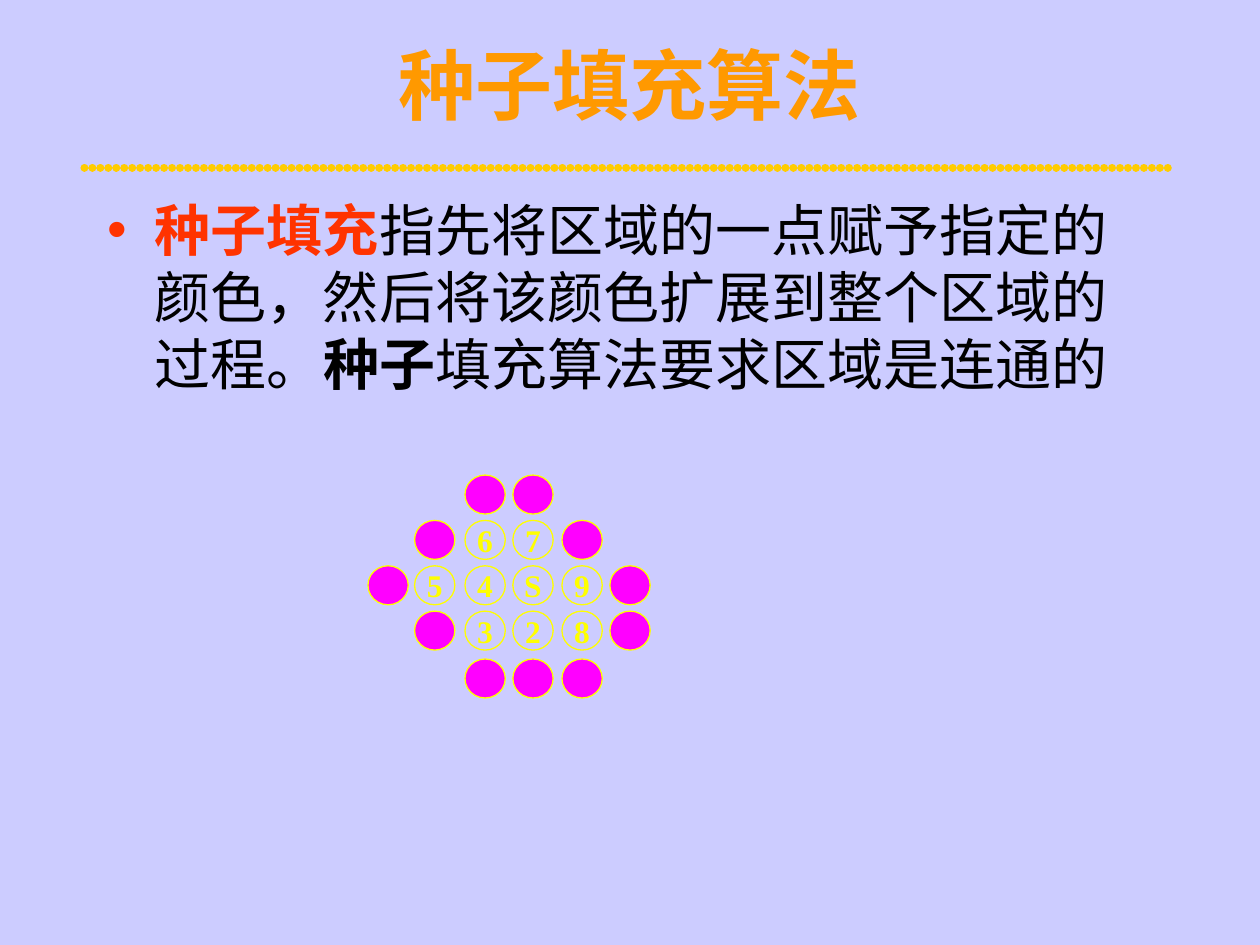
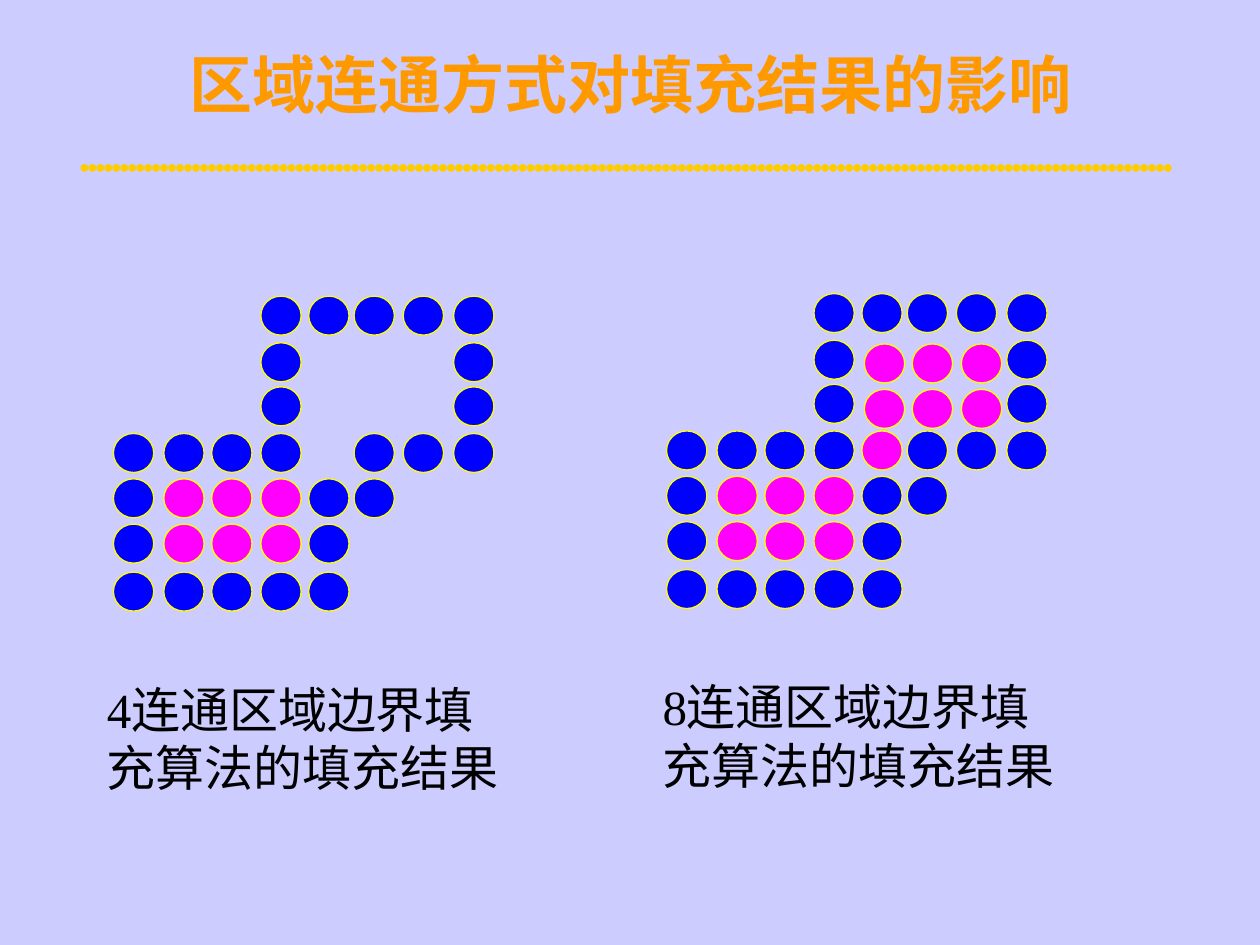
import pptx
import pptx.dml.color
import pptx.enum.shapes
import pptx.enum.text
import pptx.oxml
import pptx.oxml.ns
import pptx.util
from pptx.util import Inches

# Shared look
HUES = {"back": "CCCCFF", "title": "FF9900", "rule": "FFCC00", "key": "FF3300",
        "text": "000000", "edge": "FFFF00", "P": "FF00FF", "B": "0000FF"}
SERIF, SANS = "Times New Roman", "Noto Sans CJK SC"
DOT = (0.32, 0.31)

# Slide 1: seed filling. Each map letter is a filled dot, each other mark a label
SEED = {
    "title": ("种子填充算法", 44),
    "runs": [
        ("种子填充", "key", True),
        ("指先将区域的一点赋予指定的颜色，然后将该颜色扩展到整个区域的过程。", "text", False),
        ("种子", "text", True),
        ("填充算法要求区域是连通的", "text", False),
    ],
    "cols": [2.92, 3.29, 3.69, 4.07, 4.46, 4.84],
    "rows": [3.77, 4.13, 4.49, 4.85, 5.23],
    "map": ["..PP..", ".P67P.", "P54S9P", ".P328P", "..PPP."],
}

# Slide 2: the same border filled in two ways
LINK = {
    "title": ("区域连通方式对填充结果的影响", 36),
    "cols": [0.9, 1.3, 1.68, 2.07, 2.45, 2.81, 3.2, 3.6],
    "rows": [2.35, 2.72, 3.07, 3.44, 3.8, 4.16, 4.54],
    "top": ["...BBBBB", "...B...B", "...B...B"],
    "low": ["BPPPBB..", "BPPPB...", "BBBBB..."],
    "cases": [
        # text, neck row of the map, shift, text box corner
        ("4连通区域边界填充算法的填充结果", "BBBB.BBB", (0, 0), (0.75, 5.34)),
        ("8连通区域边界填充算法的填充结果", "BBBBPBBB", (4.39, -0.02), (5.16, 5.32)),
    ],
    "inner": ([6.86, 7.24, 7.63], [2.73, 3.09], ["PPP", "PPP"]),
}


def hue(name):
    return pptx.dml.color.RGBColor.from_string(HUES[name])


def add_run(para, text, size, name, bold=False, face=SERIF):
    run = para.add_run()
    run.text = text
    font = run.font
    font.size, font.bold, font.name = pptx.util.Pt(size), bold, face
    font.color.rgb = hue(name)


def place(shape, left, top, width, height):
    shape.left, shape.top = Inches(left), Inches(top)
    shape.width, shape.height = Inches(width), Inches(height)


def add_xml(parent, *parts):
    for part in parts:
        head, rest = part[1:].split(" ", 1) if " " in part else (part[1:-2], "/>")
        space = pptx.oxml.ns.nsdecls("a")
        parent.append(pptx.oxml.parse_xml(f"<{head} {space} {rest}"))


def add_rule(slide):
    rule = slide.shapes.add_connector(
        pptx.enum.shapes.MSO_CONNECTOR.STRAIGHT,
        Inches(0.67), Inches(1.33), Inches(9.33), Inches(1.33))
    rule.line.color.rgb = hue("rule")
    rule.line.width = pptx.util.Pt(4.5)
    # Round dots that touch
    line = rule.line._get_or_add_ln()
    line.set("cap", "rnd")
    add_xml(line, '<a:custDash ><a:ds d="100000" sp="1000"/></a:custDash>')
    add_xml(rule._element.spPr, "<a:effectLst/>")


def new_slide(deck, layout, title):
    slide = deck.slides.add_slide(deck.slide_layouts[layout])
    add_rule(slide)
    head = slide.shapes.title
    place(head, 0.75, 0.25, 8.5, 0.83)
    frame = head.text_frame
    frame.auto_size = pptx.enum.text.MSO_AUTO_SIZE.NONE
    frame.vertical_anchor = pptx.enum.text.MSO_ANCHOR.MIDDLE
    para = frame.paragraphs[0]
    para.alignment = pptx.enum.text.PP_ALIGN.CENTER
    add_run(para, *title, "title", True)
    return slide


def add_dot(group, left, top, mark):
    dot = group.shapes.add_shape(
        pptx.enum.shapes.MSO_SHAPE.OVAL,
        Inches(left), Inches(top), Inches(DOT[0]), Inches(DOT[1]))
    dot.shadow.inherit = False
    dot.line.color.rgb = hue("edge")
    dot.line.width = pptx.util.Pt(0.75)
    if mark in HUES:
        dot.fill.solid()
        dot.fill.fore_color.rgb = hue(mark)
        return
    dot.fill.background()
    frame = dot.text_frame
    frame.word_wrap = False
    frame.margin_left = frame.margin_right = 0
    frame.margin_top = frame.margin_bottom = 0
    frame.vertical_anchor = pptx.enum.text.MSO_ANCHOR.MIDDLE
    para = frame.paragraphs[0]
    para.alignment = pptx.enum.text.PP_ALIGN.CENTER
    add_run(para, mark, 18, "edge", True)


def add_dots(group, cols, rows, marks, shift=(0, 0)):
    for top, line in zip(rows, marks):
        for left, mark in zip(cols, line):
            if mark != ".":
                add_dot(group, left + shift[0], top + shift[1], mark)


def seed_slide(deck):
    slide = new_slide(deck, 1, SEED["title"])
    # Definition
    body = slide.placeholders[1]
    place(body, 0.75, 1.5, 8.5, 5.42)
    body.text_frame.auto_size = pptx.enum.text.MSO_AUTO_SIZE.NONE
    para = body.text_frame.paragraphs[0]
    para.space_before = pptx.util.Pt(0)
    props = para._p.get_or_add_pPr()
    props.set("marL", str(Inches(0.38)))
    props.set("indent", str(-Inches(0.38)))
    add_xml(props, f'<a:buClr ><a:srgbClr val="{HUES["key"]}"/></a:buClr>',
            '<a:buChar char="•"/>')
    for text, name, bold in SEED["runs"]:
        add_run(para, text, 32, name, bold, SANS)
    # Region with its fill order
    group = slide.shapes.add_group_shape()
    add_dots(group, SEED["cols"], SEED["rows"], SEED["map"])


def link_slide(deck):
    slide = new_slide(deck, 5, LINK["title"])
    for text, neck, shift, spot in LINK["cases"]:
        # Region
        group = slide.shapes.add_group_shape()
        marks = LINK["top"] + [neck] + LINK["low"]
        add_dots(group, LINK["cols"], LINK["rows"], marks, shift)
        if "P" in neck:
            add_dots(group, *LINK["inner"])
        # Caption
        box = slide.shapes.add_textbox(
            Inches(spot[0]), Inches(spot[1]), Inches(3.39), Inches(1.04))
        box.text_frame.word_wrap = True
        add_run(box.text_frame.paragraphs[0], text, 28, "text")


def main():
    deck = pptx.Presentation()
    deck.slide_width, deck.slide_height = Inches(10), Inches(7.5)
    fill = deck.slide_master.background.fill
    fill.solid()
    fill.fore_color.rgb = hue("back")
    seed_slide(deck)
    link_slide(deck)
    deck.save("out.pptx")


if __name__ == "__main__":
    main()
